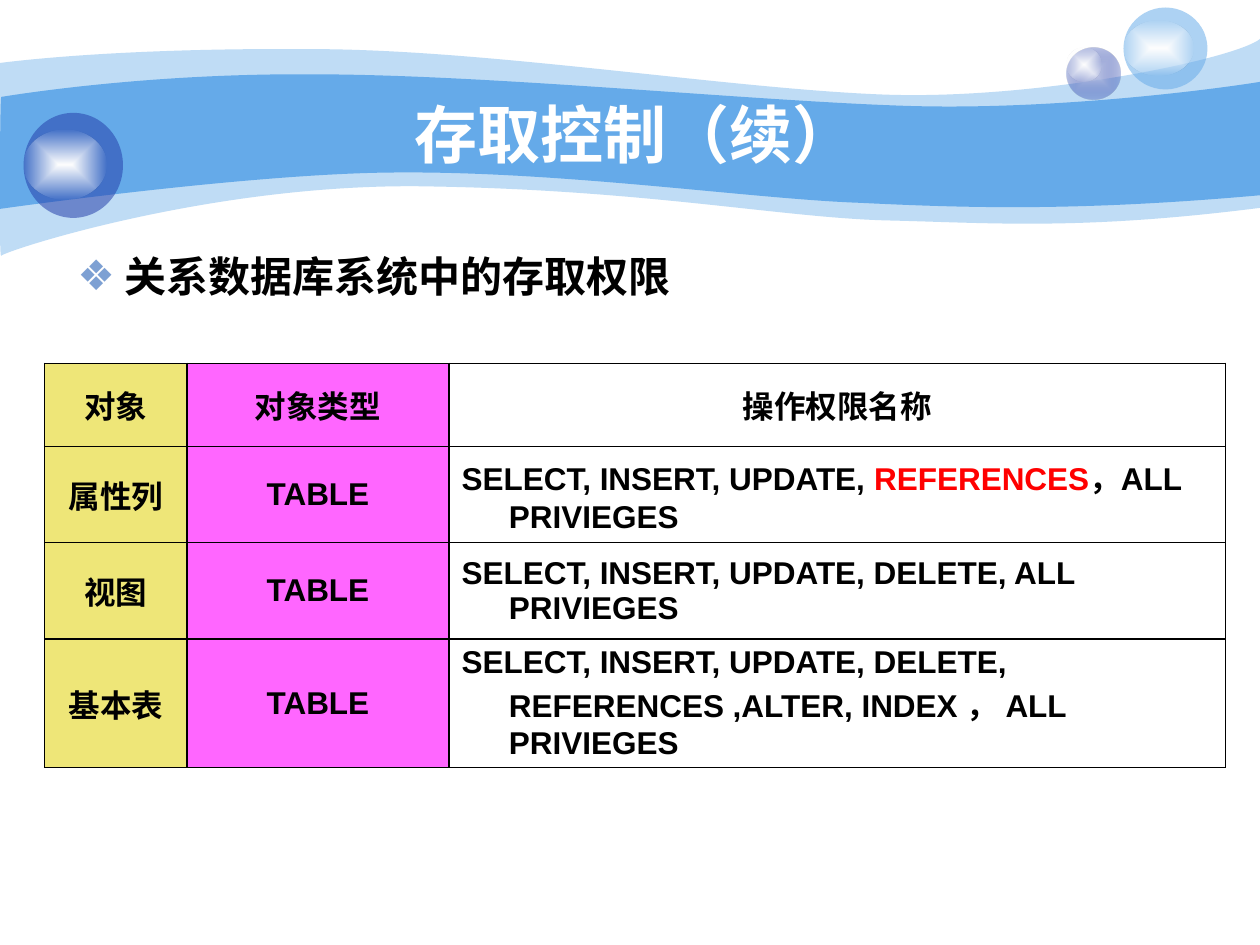
"""Build the access control slide with its wave banner, orbs and rights table."""
from dataclasses import dataclass

from lxml.etree import SubElement
from pptx import Presentation
from pptx.dml.color import RGBColor
from pptx.enum.shapes import MSO_SHAPE
from pptx.enum.text import MSO_ANCHOR, MSO_AUTO_SIZE, PP_ALIGN
from pptx.oxml.ns import qn
from pptx.util import Pt

FONT = "Arial"
BLACK, WHITE, RED = "000000", "FFFFFF", "FF0000"
SKY, NAVY, MIST = "65AAE9", "233DA9", "C7CEE9"
GOLD, PINK = "EEE678", "FF66FF"


@dataclass
class Tint:
    """A colour with its opacity in percent."""
    hue: str
    alpha: int = 100


@dataclass
class Wave:
    """A closed outline in points; six numbers make a curve, two a line."""
    start: tuple[float, float]
    edges: list[tuple[float, ...]]
    tint: Tint


@dataclass
class Orb:
    """A ball and the glow on it, each as left, top, width and height."""
    ball: tuple[float, ...]
    glow: tuple[float, ...]
    tints: list[Tint]


@dataclass
class Row:
    """A table row; rights holds runs of text and colour."""
    height: float
    item: str
    kind: str
    rights: list[tuple[str, str]]
    align: PP_ALIGN = PP_ALIGN.LEFT


WAVES = [
    Wave((0, 36), [
        (17.3, 33.8, 77, 27.4, 177.8, 28.1), (277.9, 28.1, 414, 50.4, 503.3, 54),
        (591.8, 57.6, 705.6, 33.8, 720, 22.3), (720, 118.8),
        (617.8, 131.8, 566.6, 127.4, 507.6, 126),
        (447.8, 124.6, 370.8, 108.7, 247, 106.6),
        (123.8, 103.7, 2.9, 143.3, 0.7, 146.2), (-0.7, 149.8, 0, 54, 0, 36),
    ], Tint(SKY, 41)),
    Wave((0.7, 55.4), [
        (1.4, 55.4, 79.2, 41.8, 178.6, 42.5), (277.9, 42.5, 428.4, 57.6, 517, 60.5),
        (605.5, 63.4, 702.7, 49.7, 720, 46.8), (720, 111.6),
        (614.2, 121, 550.8, 118.8, 491, 115.9),
        (431.3, 113.8, 321.8, 97.9, 228.2, 98.6),
        (146.2, 98.6, -1.4, 119.5, -0.7, 119.5), (0, 119.5, 0, 55.4, 0.7, 55.4),
    ], Tint(SKY)),
]
GLOW = [Tint(WHITE), Tint(WHITE, 0)]
ORBS = [
    Orb((609.5, 27, 31, 29.5), (609.5, 27, 20, 19.5), [Tint(MIST), Tint(NAVY, 31)]),
    Orb((642, 4.3, 48, 46.8), (642, 12, 40, 31), [Tint(SKY, 53)]),
    Orb((13.5, 64.5, 56.8, 60), (13.5, 74, 47.5, 40), [Tint(NAVY, 53)]),
]
WIDTHS = [81.3, 149.8, 443.6]
ROWS = [
    Row(47.4, "对象", "对象类型", [("操作权限名称", BLACK)], PP_ALIGN.CENTER),
    Row(55, "属性列", "TABLE", [("SELECT, INSERT, UPDATE, ", BLACK),
                             ("REFERENCES", RED), ("，ALL PRIVIEGES", BLACK)]),
    Row(55, "视图", "TABLE",
        [("SELECT, INSERT, UPDATE, DELETE, ALL PRIVIEGES", BLACK)]),
    Row(72, "基本表", "TABLE",
        [("SELECT, INSERT, UPDATE, DELETE, REFERENCES ,ALTER, INDEX ， ALL PRIVIEGES",
          BLACK)]),
]


def rgb(hue: str) -> RGBColor:
    """Turn a hex string into a colour."""
    return RGBColor.from_string(hue)


def paint(shape, tints: list[Tint]) -> None:
    """Fill a shape with one tint, or with two from the centre out."""
    shape.shadow.inherit = False
    shape.line.fill.background()
    if len(tints) == 1:
        shape.fill.solid()
        shape.fill.fore_color.rgb = rgb(tints[0].hue)
    else:
        shape.fill.gradient()
        for stop, tint in zip(shape.fill.gradient_stops, tints):
            stop.color.rgb = rgb(tint.hue)
        grad = next(shape.element.iter(qn("a:gradFill")))
        grad.remove(grad.find(qn("a:lin")))
        way = SubElement(grad, qn("a:path"), path="rect")
        SubElement(way, qn("a:fillToRect"), l="50000", t="50000", r="50000", b="50000")
    for node, tint in zip(shape.element.iter(qn("a:srgbClr")), tints):
        if tint.alpha < 100:
            SubElement(node, qn("a:alpha"), val=str(tint.alpha * 1000))


def draw_wave(shapes, wave: Wave) -> None:
    """Draw a wave, joining each three points of a curve into one Bezier."""
    pen = shapes.build_freeform(*map(Pt, wave.start))
    for edge in wave.edges:
        dots = [tuple(map(Pt, edge[i:i + 2])) for i in range(0, len(edge), 2)]
        pen.add_line_segments(dots, close=edge is wave.edges[-1])
    shape = pen.convert_to_shape()
    nodes = iter(list(shape.element.iter(qn("a:lnTo"))))
    for edge in wave.edges:
        first = next(nodes)
        if len(edge) == 6:
            first.tag = qn("a:cubicBezTo")
            for node in (next(nodes), next(nodes)):
                first.append(node[0])
                node.getparent().remove(node)
    paint(shape, [wave.tint])


def draw_orb(shapes, orb: Orb) -> None:
    """Draw a ball and its glow as a group."""
    group = shapes.add_group_shape()
    for box, tints in ((orb.ball, orb.tints), (orb.glow, GLOW)):
        paint(group.shapes.add_shape(MSO_SHAPE.OVAL, *map(Pt, box)), tints)


def style(para, size: float, hue: str | None = None) -> None:
    """Set the font of a paragraph."""
    para.font.name, para.font.size, para.font.bold = FONT, Pt(size), True
    if hue:
        para.font.color.rgb = rgb(hue)


def indent(para) -> None:
    """Hang the first line of a paragraph."""
    props = para._p.get_or_add_pPr()
    props.set("marL", str(Pt(27)))
    props.set("indent", str(Pt(-27)))


def place(holder, box: tuple[float, ...], text: str):
    """Move a placeholder, write in it and return its paragraph."""
    holder.left, holder.top, holder.width, holder.height = map(Pt, box)
    frame = holder.text_frame
    frame.text = text
    frame.auto_size = MSO_AUTO_SIZE.NONE
    return frame.paragraphs[0]


def write(cell, runs: list[tuple[str, str]], align: PP_ALIGN, fill: str | None) -> None:
    """Fill, frame and write one table cell."""
    cell.vertical_anchor = MSO_ANCHOR.MIDDLE
    para = cell.text_frame.paragraphs[0]
    para.alignment = align
    indent(para)
    style(para, 18, runs[0][1] if len(runs) == 1 else None)
    for text, hue in runs:
        run = para.add_run()
        run.text = text
        if len(runs) > 1:
            run.font.color.rgb = rgb(hue)
    props = cell._tc.get_or_add_tcPr()
    for side in ("lnL", "lnR", "lnT", "lnB"):
        line = SubElement(props, qn(f"a:{side}"), w=str(Pt(0.96)))
        SubElement(SubElement(line, qn("a:solidFill")), qn("a:srgbClr"), val=BLACK)
    if fill:
        cell.fill.solid()
        cell.fill.fore_color.rgb = rgb(fill)
    else:
        cell.fill.background()


def draw_table(shapes) -> None:
    """Draw the table of rights."""
    high = sum(row.height for row in ROWS)
    table = shapes.add_table(len(ROWS), len(WIDTHS), Pt(25.5), Pt(207.7),
                             Pt(sum(WIDTHS)), Pt(high)).table
    table.first_row = table.horz_banding = False
    for column, width in zip(table.columns, WIDTHS):
        column.width = Pt(width)
    for line, row in zip(table.rows, ROWS):
        line.height = Pt(row.height)
        item, kind, rights = line.cells
        write(item, [(row.item, BLACK)], PP_ALIGN.CENTER, GOLD)
        write(kind, [(row.kind, BLACK)], PP_ALIGN.CENTER, PINK)
        write(rights, row.rights, row.align, None)


def main() -> None:
    """Build and save the slide."""
    deck = Presentation()
    deck.slide_width, deck.slide_height = Pt(720), Pt(540)
    slide = deck.slides.add_slide(deck.slide_layouts[1])
    shapes = slide.shapes
    title, body = shapes.title, slide.placeholders[1]
    for wave in WAVES:
        draw_wave(shapes, wave)
    for orb in ORBS:
        draw_orb(shapes, orb)
    for holder in (title, body):
        shapes.element.append(holder.element)
    head = place(title, (72, 54, 582, 44.5), "存取控制（续）")
    title.text_frame.vertical_anchor = MSO_ANCHOR.MIDDLE
    head.alignment = PP_ALIGN.CENTER
    style(head, 36, WHITE)
    point = place(body, (37, 128, 647.5, 51), "关系数据库系统中的存取权限")
    point.line_spacing, point.space_before = 1.4, Pt(0)
    indent(point)
    props = point._p.get_or_add_pPr()
    SubElement(SubElement(props, qn("a:buClr")), qn("a:srgbClr"), val="7DA0D3")
    SubElement(props, qn("a:buChar"), char="❖")
    style(point, 24, BLACK)
    draw_table(shapes)
    deck.save("out.pptx")


if __name__ == "__main__":
    main()
